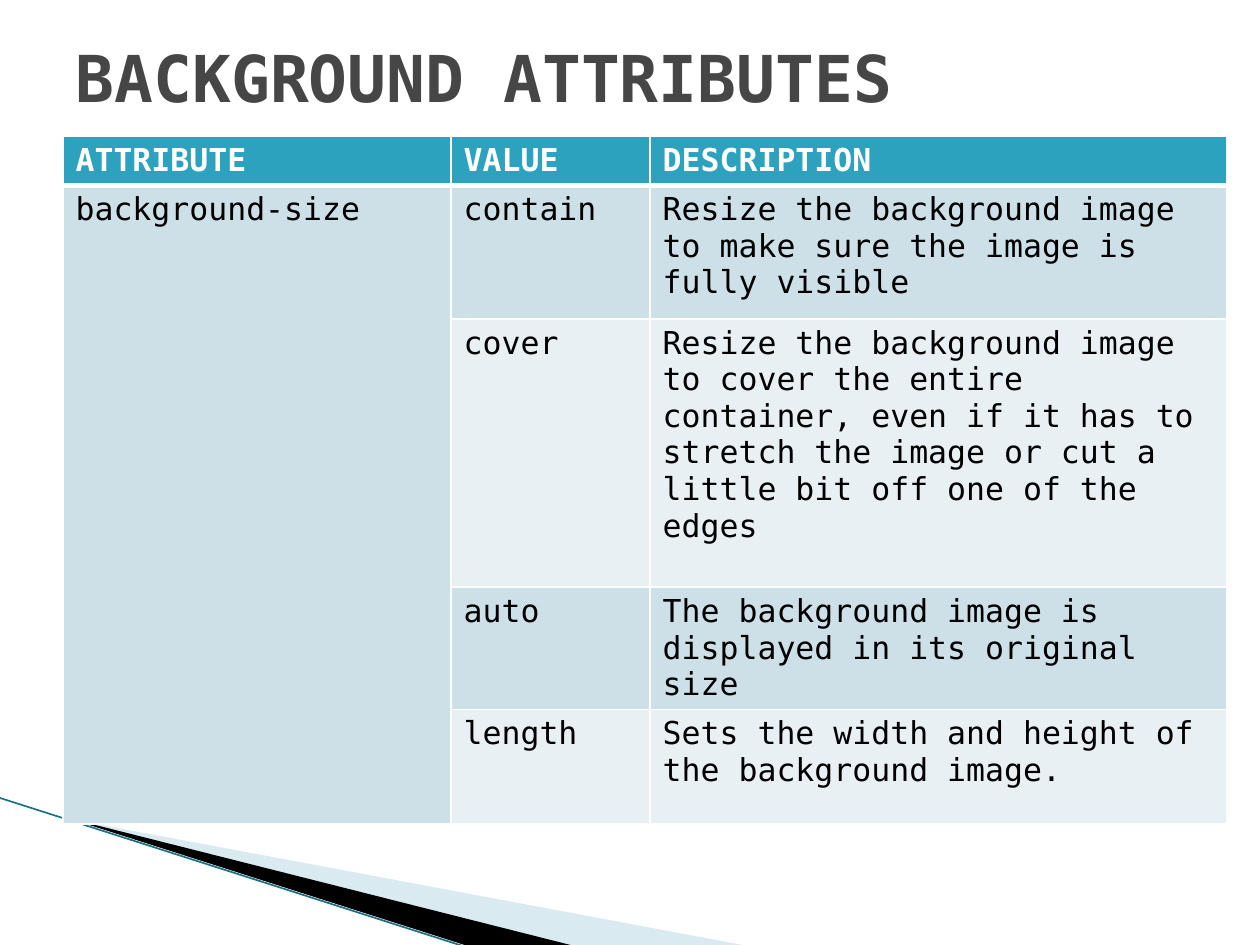
from lxml.etree import SubElement
from pptx import Presentation
from pptx.dml.color import RGBColor
from pptx.enum.text import MSO_ANCHOR, MSO_AUTO_SIZE, PP_ALIGN
from pptx.enum.shapes import MSO_CONNECTOR
from pptx.oxml import parse_xml
from pptx.oxml.ns import nsdecls, qn
from pptx.util import Inches, Pt

FONT = "DejaVu Sans Mono"
COLORS = {
    "title": "464646", "header": "2DA2BF", "band": "CDE0E8", "plain": "E8F0F4",
    "white": "FFFFFF", "black": "000000", "wedge": "A0CBDC", "line": "1A7186",
}
COLS = [3.08, 1.58, 4.58]
ROWS = [0.38, 1.06, 2.13, 0.97, 0.91]
DATA = [
    ("ATTRIBUTE", "VALUE", "DESCRIPTION"),
    ("background-size", "contain",
     "Resize the background image to make sure the image is fully visible"),
    ("", "cover",
     "Resize the background image to cover the entire container, even if it has "
     "to stretch the image or cut a little bit off one of the edges"),
    ("", "auto", "The background image is displayed in its original size"),
    ("", "length", "Sets the width and height of the background image."),
]


def rgb(name):
    return RGBColor.from_string(COLORS[name])


def add_run(p, text, size, color, bold=False):
    r = p.add_run()
    r.text = text
    r.font.name, r.font.size, r.font.bold = FONT, Pt(size), bold
    r.font.color.rgb = rgb(color)


def add_wedge(s, points, color, alpha=None):
    """Filled outline through points given in hundredths of an inch."""
    builder = s.shapes.build_freeform(*points[0], scale=Inches(0.01))
    builder.add_line_segments(points[1:], close=True)
    sp = builder.convert_to_shape()
    sp.shadow.inherit = False
    sp.fill.solid()
    sp.fill.fore_color.rgb = rgb(color)
    sp.line.fill.background()
    if alpha:
        clr = sp.fill._xPr.find(qn("a:solidFill"))[0]
        SubElement(clr, qn("a:alpha")).set("val", str(alpha * 1000))


def add_corner(s, x, y):
    """Swoosh in the bottom left corner; x, y is its tip in hundredths."""
    bottom = 751
    add_wedge(s, [(x, y), (595, bottom), (456, bottom)], "wedge", 40)
    add_wedge(s, [(x - 2, y - 1), (457, bottom), (372, bottom)], "black")
    line = s.shapes.add_connector(MSO_CONNECTOR.STRAIGHT, Inches(-0.01), Inches(6.33),
                                  Inches(3.71), Inches(7.52))
    line.line.color.rgb = rgb("line")
    line.line.width = Pt(0.95)
    SubElement(line._element.spPr, qn("a:effectLst"))


def set_borders(cell, **widths):
    tc_pr = cell._tc.get_or_add_tcPr()
    for i, side in enumerate("LRTB"):
        width = Pt(widths.get(side, 1))
        tc_pr.insert(i, parse_xml(
            f'<a:ln{side} {nsdecls("a")} w="{width}"><a:solidFill>'
            f'<a:srgbClr val="{COLORS["white"]}"/></a:solidFill></a:ln{side}>'))


def add_attribute_table(s, x, y):
    frame = s.shapes.add_table(len(ROWS), len(COLS), Inches(x), Inches(y),
                               Inches(sum(COLS)), Inches(sum(ROWS)))
    table = frame.table
    for col, width in zip(table.columns, COLS):
        col.width = Inches(width)
    for row, height in zip(table.rows, ROWS):
        row.height = Inches(height)
    for i, texts in enumerate(DATA):
        for j, text in enumerate(texts):
            cell = table.cell(i, j)
            fill = "header" if i == 0 else "band" if i % 2 or j == 0 else "plain"
            cell.fill.solid()
            cell.fill.fore_color.rgb = rgb(fill)
            set_borders(cell, B=3 if i == 0 else 1, T=3 if i == 1 else 1)
            if text:
                add_run(cell.text_frame.paragraphs[0], text, 18,
                        "black" if i else "white", bold=i == 0)
    table.cell(1, 0).merge(table.cell(len(ROWS) - 1, 0))


def set_title(s, text, x, y, w, h):
    title = s.shapes.title
    title.left, title.top, title.width, title.height = map(Inches, (x, y, w, h))
    tf = title.text_frame
    tf.auto_size = MSO_AUTO_SIZE.NONE
    tf.vertical_anchor = MSO_ANCHOR.MIDDLE
    p = tf.paragraphs[0]
    p.alignment = PP_ALIGN.LEFT
    add_run(p, text, 36.9, "title", bold=True)


prs = Presentation()
prs.slide_width, prs.slide_height = Inches(10), Inches(7.5)
s = prs.slides.add_slide(prs.slide_layouts[5])

# Corner decoration, table, title
add_corner(s, 55, 650)
add_attribute_table(s, 0.5, 1.08)
set_title(s, "BACKGROUND ATTRIBUTES", 0.5, 0.3, 9, 0.62)

prs.save("out.pptx")
